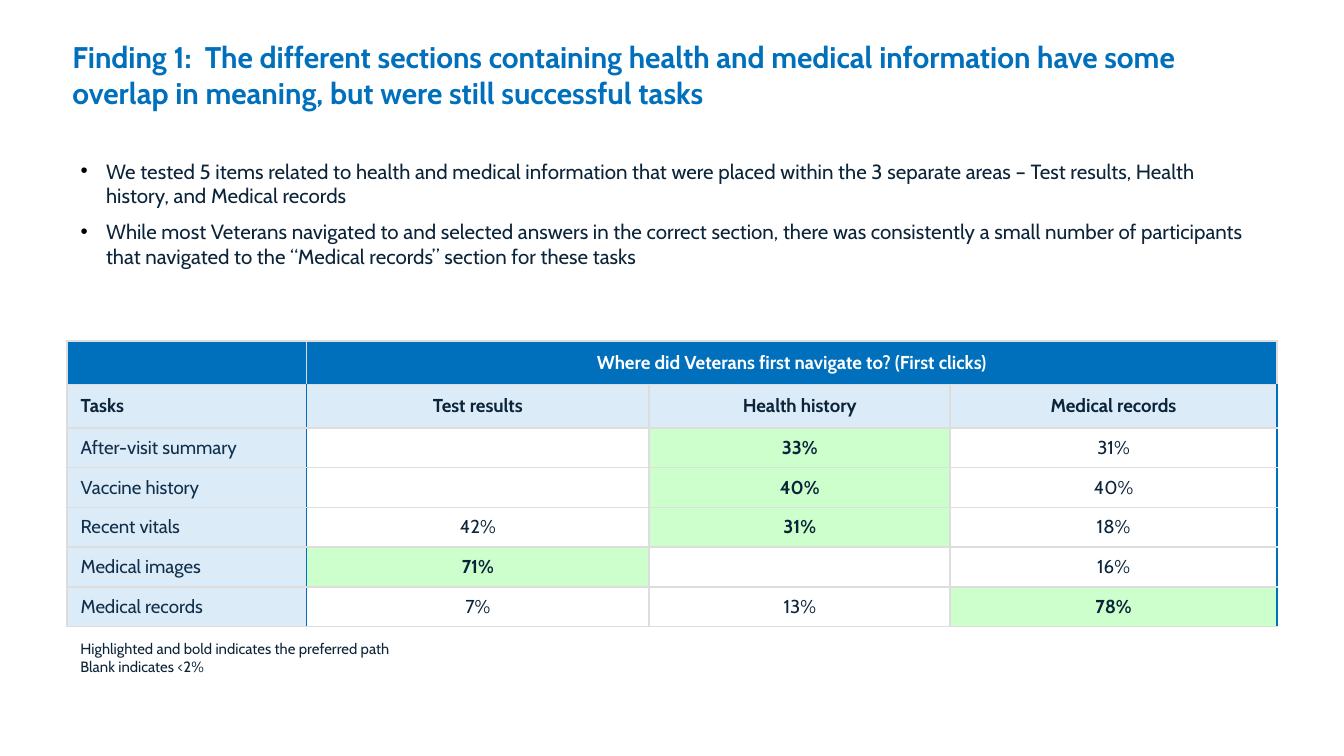
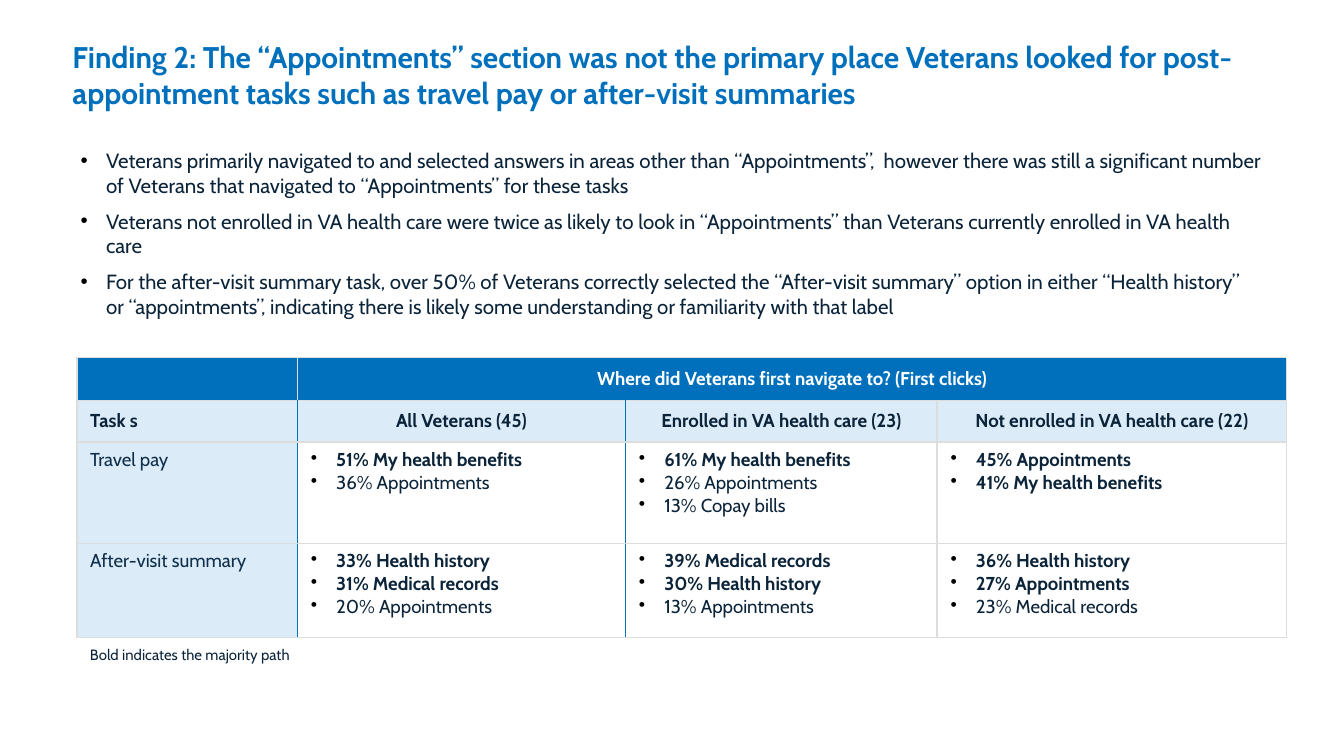
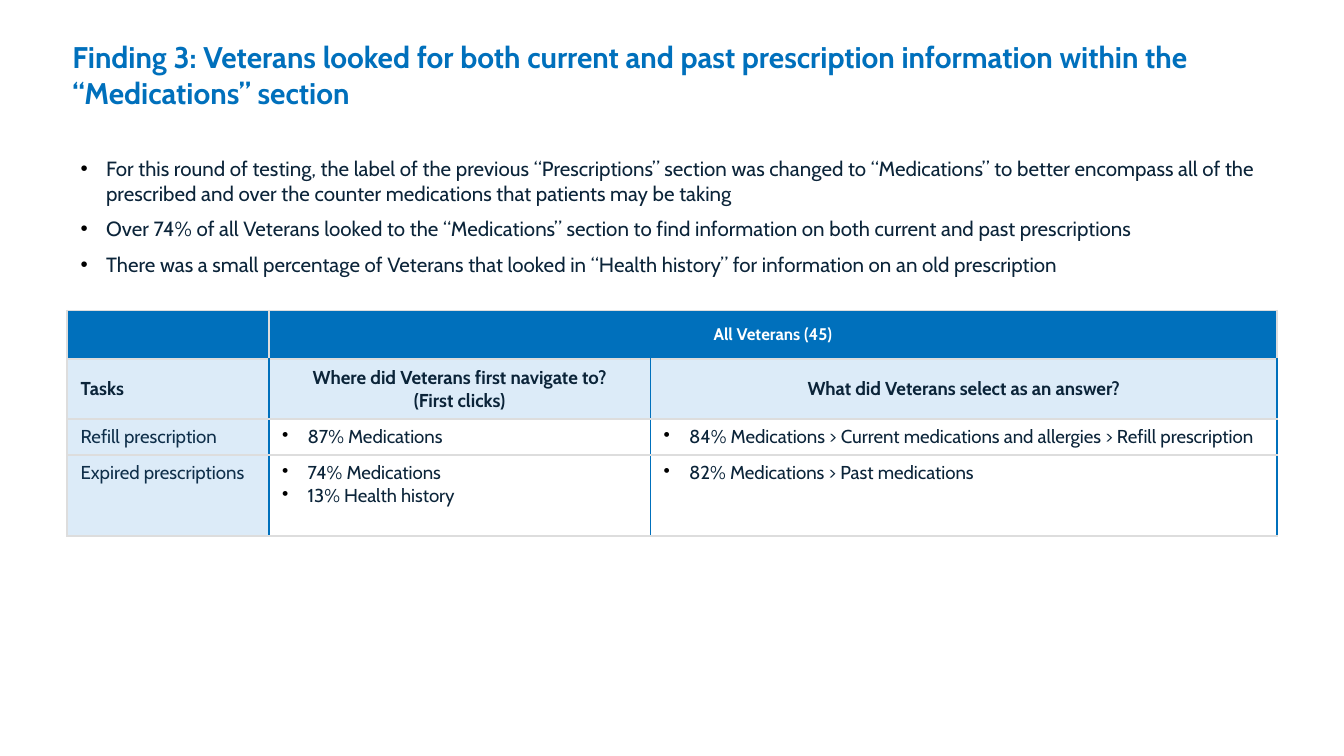
from lxml import etree
from pptx import Presentation
from pptx.dml.color import RGBColor
from pptx.enum.text import MSO_ANCHOR, MSO_AUTO_SIZE, PP_ALIGN
from pptx.oxml.ns import qn
from pptx.util import Cm, Pt

LEFT, CENTER = PP_ALIGN.LEFT, PP_ALIGN.CENTER
TOP, MIDDLE = MSO_ANCHOR.TOP, MSO_ANCHOR.MIDDLE
NO_FIT, GROW = MSO_AUTO_SIZE.NONE, MSO_AUTO_SIZE.SHAPE_TO_FIT_TEXT

BLUE = RGBColor(0x00, 0x70, 0xBC)
PALE = RGBColor(0xDC, 0xEB, 0xF8)
GREEN = RGBColor(0xCC, 0xFF, 0xCC)
WHITE = RGBColor(0xFF, 0xFF, 0xFF)
GREY = RGBColor(0xDD, 0xDD, 0xDD)
INK = RGBColor(0x0B, 0x24, 0x39)
NAVY = RGBColor(0x0F, 0x2F, 0x4A)
BLACK = RGBColor(0x00, 0x00, 0x00)
FONT = "Cabin"
WIDTH = Cm(22.86)


def write(frame, text, size, color=INK, bold=False, align=LEFT, bullet=False, gap=0):
    for index, line in enumerate(text.split("\n")):
        para = frame.paragraphs[0] if index == 0 else frame.add_paragraph()
        para.text = line.lstrip("*")
        para.alignment = align
        para.space_before = Pt(gap if index else 0)
        if bullet:
            props = para._p.get_or_add_pPr()
            props.set("marL", str(Cm(0.48)))
            props.set("indent", str(-Cm(0.48)))
            tint = etree.SubElement(props, qn("a:buClr"))
            etree.SubElement(tint, qn("a:srgbClr"), val=str(BLACK))
            etree.SubElement(props, qn("a:buChar"), char="•")
        for span in para.runs:
            span.font.name = FONT
            span.font.size = Pt(size)
            span.font.bold = bold or line.startswith("*")
            span.font.color.rgb = color
        for line_break in para._p.findall(qn("a:br")):
            etree.SubElement(line_break, qn("a:rPr"), sz=str(size * 100))
        if not line:
            etree.SubElement(para._p, qn("a:endParaRPr"), sz=str(size * 100))


def draw_borders(cell, left, right):
    props = cell._tc.get_or_add_tcPr()
    for side, color in (("L", left), ("R", right), ("T", GREY), ("B", GREY)):
        line = etree.SubElement(props, qn("a:ln" + side), w=str(Pt(1)))
        fill = etree.SubElement(line, qn("a:solidFill"))
        etree.SubElement(fill, qn("a:srgbClr"), val=str(color))


FIRST_CLICKS = "Where did Veterans first navigate to? (First clicks)"

findings = [
    dict(
        title="Finding 1:  The different sections containing health and medical information have some overlap in meaning, but were still successful tasks",
        points="We tested 5 items related to health and medical information that were placed within the 3 separate areas – Test results, Health history, and Medical records\n"
               "While most Veterans navigated to and selected answers in the correct section, there was consistently a small number of participants that navigated to the “Medical records” section for these tasks",
        points_top=2.87, points_height=2.36,
        left=1.27, top=6.45,
        columns=[4.52, 6.48, 5.69, 6.17],
        heights=[0.82, 0.82] + [0.75] * 5,
        blue_edges={1, 4}, header_size=10, lists=False,
        rows=[
            ["", FIRST_CLICKS, "", ""],
            ["Tasks", "Test results", "Health history", "Medical records"],
            ["After-visit summary", "", "*33%", "31%"],
            ["Vaccine history", "", "*40%", "40%"],
            ["Recent vitals", "42%", "*31%", "18%"],
            ["Medical images", "*71%", "", "16%"],
            ["Medical records", "7%", "13%", "*78%"],
        ],
        note="Highlighted and bold indicates the preferred path\nBlank indicates <2%",
        note_top=11.96, note_height=0.94,
    ),
    dict(
        title="Finding 2: The “Appointments” section was not the primary place Veterans looked for post-appointment tasks such as travel pay or after-visit summaries",
        points="Veterans primarily navigated to and selected answers in areas other than “Appointments”,  however there was still a significant number of Veterans that navigated to “Appointments” for these tasks\n"
               "Veterans not enrolled in VA health care were twice as likely to look in “Appointments” than Veterans currently enrolled in VA health care\n"
               "For the after-visit summary task, over 50% of Veterans correctly selected the “After-visit summary” option in either “Health history” or “appointments”, indicating there is likely some understanding or familiarity with that label",
        points_top=2.67, points_height=3.02,
        left=1.45, top=6.76,
        columns=[4.17, 6.2, 5.89, 6.6],
        heights=[0.81, 0.79, 1.91, 1.78],
        blue_edges={1, 2}, header_size=10, lists=True,
        rows=[
            ["", FIRST_CLICKS, "", ""],
            ["Task s", "All Veterans (45)", "Enrolled in VA health care (23)",
             "Not enrolled in VA health care (22)"],
            ["Travel pay",
             "*51% My health benefits\n36% Appointments",
             "*61% My health benefits\n26% Appointments\n13% Copay bills",
             "*45% Appointments\n*41% My health benefits"],
            ["After-visit summary",
             "*33% Health history\n*31% Medical records\n20% Appointments",
             "*39% Medical records\n*30% Health history\n13% Appointments",
             "*36% Health history\n*27% Appointments\n23% Medical records"],
        ],
        note="Bold indicates the majority path",
        note_top=12.07, note_height=0.61,
    ),
    dict(
        title="Finding 3: Veterans looked for both current and past prescription information within the “Medications” section",
        points="For this round of testing, the label of the previous “Prescriptions” section was changed to “Medications” to better encompass all of the prescribed and over the counter medications that patients may be taking\n"
               "Over 74% of all Veterans looked to the “Medications” section to find information on both current and past prescriptions\n"
               "There was a small percentage of Veterans that looked in “Health history” for information on an old prescription",
        points_top=2.82, points_height=2.57,
        left=1.27, top=5.87,
        columns=[3.81, 7.21, 11.84],
        heights=[0.92, 1.13, 0.68, 1.53],
        blue_edges={1, 2, 3}, header_size=9, lists=True,
        rows=[
            ["", "All Veterans (45)", ""],
            ["Tasks", "Where did Veterans first navigate to?\v(First clicks)",
             "What did Veterans select as an answer?"],
            ["Refill prescription", "87% Medications",
             "84% Medications > Current medications and allergies > Refill prescription"],
            ["Expired prescriptions", "74% Medications\n13% Health history",
             "82% Medications > Past medications"],
        ],
        note=None,
    ),
]

deck = Presentation()
deck.slide_width = Cm(25.4)
deck.slide_height = Cm(14.29)

for finding in findings:
    page = deck.slides.add_slide(deck.slide_layouts[1])

    title = page.shapes.title
    title.left, title.top, title.width, title.height = Cm(1.27), Cm(0.64), WIDTH, Cm(1.63)
    frame = title.text_frame
    frame.auto_size = NO_FIT
    frame.vertical_anchor = TOP
    frame.margin_left = frame.margin_right = frame.margin_top = frame.margin_bottom = Cm(0.1)
    write(frame, finding["title"], 16, color=BLUE, bold=True)

    body = page.placeholders[1]
    body.left, body.top = Cm(1.27), Cm(finding["points_top"])
    body.width, body.height = WIDTH, Cm(finding["points_height"])
    body.text_frame.auto_size = GROW
    body.text_frame.vertical_anchor = TOP
    write(body.text_frame, finding["points"], 11, bullet=True, gap=6)

    rows, columns, heights = finding["rows"], finding["columns"], finding["heights"]
    table = page.shapes.add_table(
        len(rows), len(columns), Cm(finding["left"]), Cm(finding["top"]),
        WIDTH, Cm(sum(heights))).table
    table.first_row = table.horz_banding = False
    for column, width in zip(table.columns, columns):
        column.width = Cm(width)
    for row, height in zip(table.rows, heights):
        row.height = Cm(height)

    for r, texts in enumerate(rows):
        for c, text in enumerate(texts):
            cell = table.cell(r, c)
            left, right = [BLUE if r and edge in finding["blue_edges"] else GREY
                           for edge in (c, c + 1)]
            draw_borders(cell, left, right)
            listed = finding["lists"] and r > 1
            cell.vertical_anchor = TOP if listed else MIDDLE
            if not finding["lists"]:
                cell.margin_top = cell.margin_bottom = 0
            fill, color, size = WHITE, INK, 10
            if r == 0:
                fill, color, size = BLUE, WHITE, finding["header_size"]
            elif r == 1:
                fill = PALE
            elif c == 0:
                fill, color = PALE, NAVY
            elif text.startswith("*") and not listed:
                fill = GREEN
            cell.fill.solid()
            cell.fill.fore_color.rgb = fill
            write(cell.text_frame, text, size, color=color, bold=r < 2,
                  align=LEFT if c == 0 or listed else CENTER, bullet=listed and c > 0)
    table.cell(0, 1).merge(table.cell(0, len(columns) - 1))

    if finding["note"]:
        box = page.shapes.add_textbox(Cm(finding["left"]), Cm(finding["note_top"]),
                                      Cm(12.7), Cm(finding["note_height"]))
        box.text_frame.word_wrap = True
        box.text_frame.auto_size = GROW
        write(box.text_frame, finding["note"], 8)

deck.save("out.pptx")
